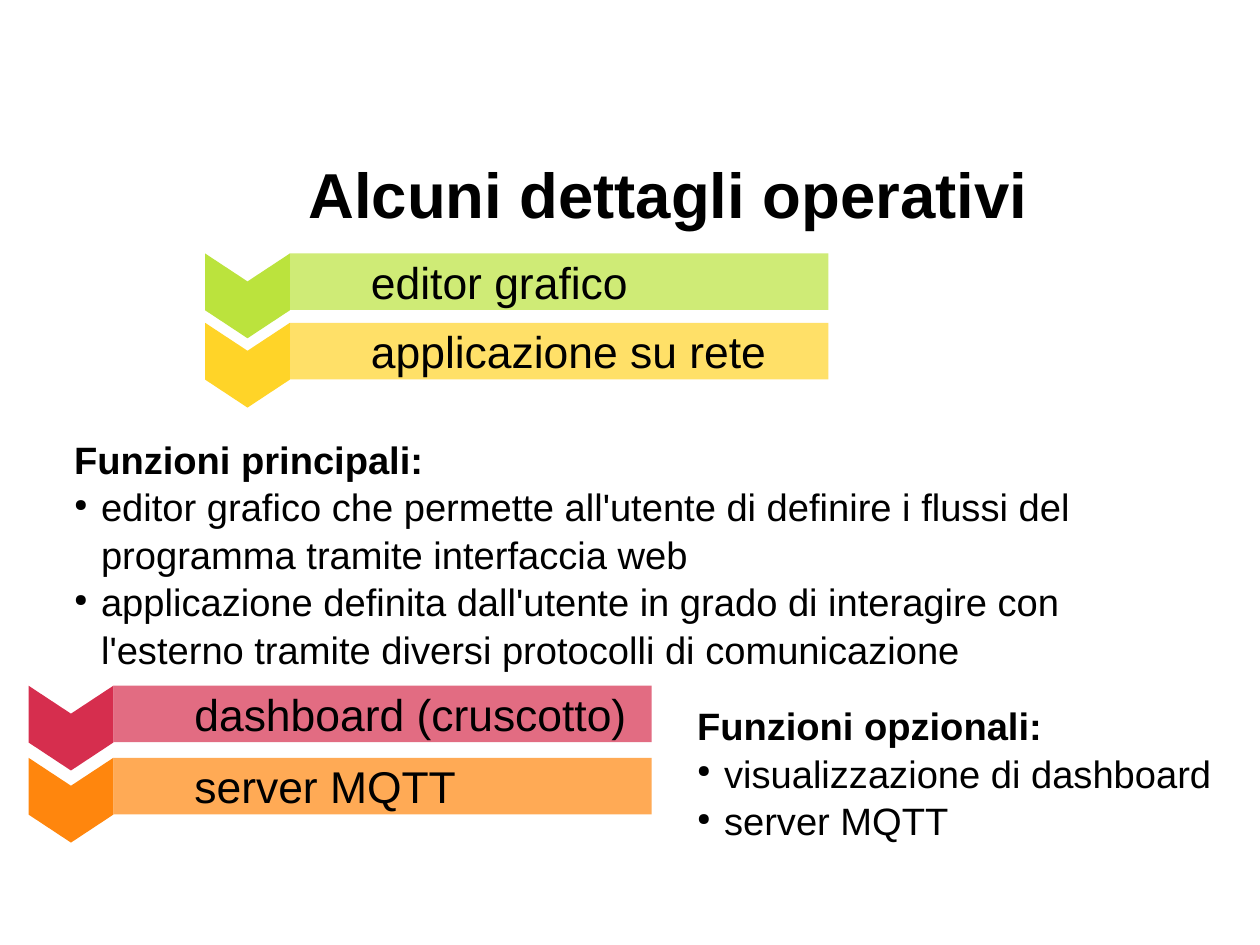
from dataclasses import dataclass

from lxml import etree
from pptx import Presentation
from pptx.dml.color import RGBColor
from pptx.enum.shapes import MSO_SHAPE
from pptx.enum.text import MSO_ANCHOR, MSO_AUTO_SIZE, PP_ALIGN
from pptx.oxml.ns import qn
from pptx.util import Pt

BAR, CHEVRON = MSO_SHAPE.RECTANGLE, MSO_SHAPE.CHEVRON
TOP, MIDDLE = MSO_ANCHOR.TOP, MSO_ANCHOR.MIDDLE
LEFT, CENTER = PP_ALIGN.LEFT, PP_ALIGN.CENTER
NO_AUTOFIT = MSO_AUTO_SIZE.NONE
TITLE_ONLY = 5


@dataclass(frozen=True)
class Theme:
    font: str = "Arial"
    ink: str = "000000"
    lime: str = "BBE33D"
    yellow: str = "FFD428"
    crimson: str = "D62E4E"
    orange: str = "FF860D"
    title_size: float = 40
    label_size: float = 28
    body_size: float = 24


THEME = Theme()


def add_child(parent, tag, **attributes):
    child = etree.SubElement(parent, qn(tag))
    for key, value in attributes.items():
        child.set(key, value)
    return child


def write(paragraph, text, size, bold=False, align=LEFT, spacing=1.0,
          margin=0, indent=0, bullet=False):
    paragraph.alignment = align
    paragraph.line_spacing = spacing
    properties = paragraph._p.get_or_add_pPr()
    properties.set("marL", str(Pt(margin)))
    properties.set("indent", str(Pt(indent)))
    if bullet:
        color = add_child(properties, "a:buClr")
        add_child(color, "a:srgbClr", val=THEME.ink)
        add_child(properties, "a:buSzPct", val="45000")
        add_child(properties, "a:buChar", char="●")
    run = paragraph.add_run()
    run.text = text
    run.font.name = THEME.font
    run.font.size = Pt(size)
    run.font.bold = bold
    run.font.color.rgb = RGBColor.from_string(THEME.ink)


def set_frame(frame, anchor, left, top, right, bottom):
    frame.word_wrap = True
    frame.auto_size = NO_AUTOFIT
    frame.vertical_anchor = anchor
    frame.margin_left, frame.margin_top = Pt(left), Pt(top)
    frame.margin_right, frame.margin_bottom = Pt(right), Pt(bottom)


def add_filled(slide, preset, left, top, width, height, color, opacity=100):
    shape = slide.shapes.add_shape(preset, Pt(left), Pt(top), Pt(width), Pt(height))
    shape.shadow.inherit = False
    shape.line.fill.background()
    shape.fill.solid()
    shape.fill.fore_color.rgb = RGBColor.from_string(color)
    if opacity < 100:
        fill_color = shape._element.spPr.find(qn("a:solidFill"))[0]
        add_child(fill_color, "a:alpha", val=str(opacity * 1000))
    return shape


def add_title(slide, text, left, top, width, height):
    title = slide.shapes.title
    title.left, title.top = Pt(left), Pt(top)
    title.width, title.height = Pt(width), Pt(height)
    set_frame(title.text_frame, MIDDLE, 0, 2.9, 0, 0)
    write(title.text_frame.paragraphs[0], text, THEME.title_size,
          bold=True, align=CENTER, spacing=0.93)


def add_chevron_list(slide, entries, left, top, pitch):
    chevron_size, bar_width, bar_height = 53.4, 339.2, 35.6
    for row, (label, color) in enumerate(entries):
        row_top = top + row * pitch
        bar = add_filled(slide, BAR, left + chevron_size, row_top,
                         bar_width, bar_height, color, opacity=70)
        set_frame(bar.text_frame, MIDDLE, 8.6, 5, 8.6, 5)
        write(bar.text_frame.paragraphs[0], label, THEME.label_size, margin=42.5)
        chevron = add_filled(slide, CHEVRON, left, row_top,
                             chevron_size, chevron_size, color)
        chevron.adjustments[0] = 0.33
        chevron.rotation = 90


def add_functions(slide, heading, functions, left, top, width, height):
    box = slide.shapes.add_textbox(Pt(left), Pt(top), Pt(width), Pt(height))
    frame = box.text_frame
    set_frame(frame, TOP, 7.2, 3.6, 7.2, 3.6)
    write(frame.paragraphs[0], heading, THEME.body_size, bold=True, spacing=1.04)
    for function in functions:
        write(frame.add_paragraph(), function, THEME.body_size, spacing=1.04,
              margin=17, indent=-17, bullet=True)


def main():
    deck = Presentation()
    deck.slide_width, deck.slide_height = Pt(793.7), Pt(595.3)
    slide = deck.slides.add_slide(deck.slide_layouts[TITLE_ONLY])
    add_title(slide, "Alcuni dettagli operativi", 90.7, 100.2, 660, 44.6)
    add_chevron_list(slide, [("editor grafico", THEME.lime),
                             ("applicazione su rete", THEME.yellow)],
                     left=129.2, top=159.7, pitch=43.7)
    add_functions(slide, "Funzioni principali:", [
        "editor grafico che permette all'utente di definire i flussi del "
        "programma tramite interfaccia web",
        "applicazione definita dall'utente in grado di interagire con "
        "l'esterno tramite diversi protocolli di comunicazione",
    ], 39.6, 270, 698.4, 141.1)
    add_chevron_list(slide, [("dashboard (cruscotto)", THEME.crimson),
                             ("server MQTT", THEME.orange)],
                     left=18, top=432, pitch=45.4)
    add_functions(slide, "Funzioni opzionali:",
                  ["visualizzazione di dashboard", "server MQTT"],
                  432, 437.8, 342, 93.6)
    deck.save("out.pptx")


if __name__ == "__main__":
    main()
